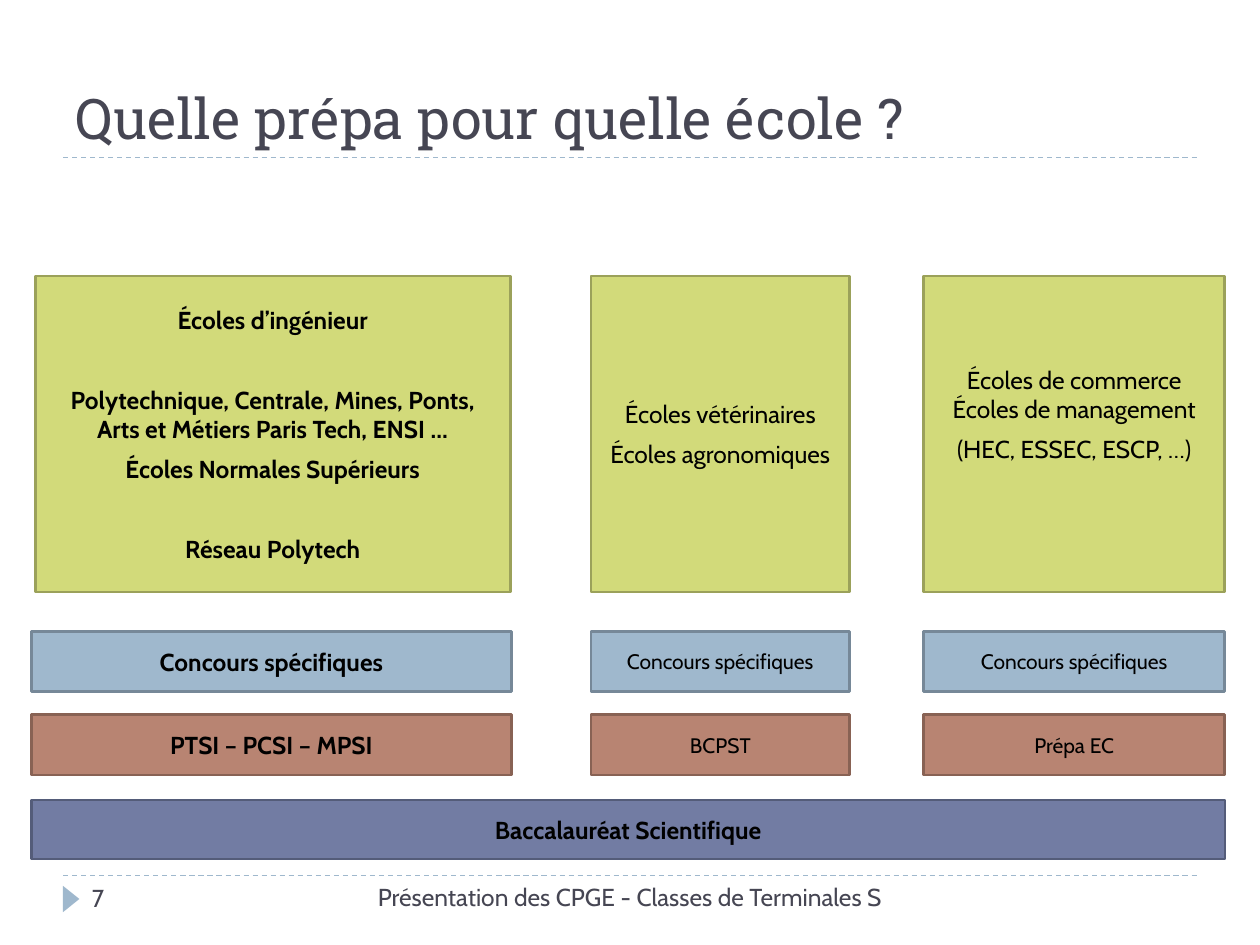
import pptx
import pptx.util
import pptx.dml.color
import pptx.enum.dml
import pptx.enum.shapes
import pptx.enum.text
import lxml.etree

Pt = pptx.util.Pt
SHAPE = pptx.enum.shapes.MSO_SHAPE
ALIGN = pptx.enum.text.PP_ALIGN
ANCHOR = pptx.enum.text.MSO_ANCHOR
INK, SKY = "464653", "9FB8CD"


def paint(target, color):
    """Give a font or line its colour, or a fill its solid colour."""
    if hasattr(target, "solid"):
        target.solid()
        target = target.fore_color
    else:
        target = target.color
    target.rgb = pptx.dml.color.RGBColor.from_string(color)


def write(frame, lines, size, color, align, bold=False):
    """Fill a frame from (text, space before) pairs."""
    frame.word_wrap = True
    for i, (text, gap) in enumerate(lines):
        para = frame.add_paragraph() if i else frame.paragraphs[0]
        para.text = text
        para.alignment = align
        para.space_before = Pt(gap)
        para.font.name = "Cabin"
        para.font.size = Pt(size)
        para.font.bold = bold
        paint(para.font, color)


deck = pptx.Presentation()
deck.slide_width, deck.slide_height = Pt(720), Pt(540)
slide = deck.slides.add_slide(deck.slide_layouts[5])
shapes = slide.shapes

# Title
title = shapes.title
title.left, title.top, title.width, title.height = Pt(36), Pt(12), Pt(648), Pt(78)
frame = title.text_frame
frame.text = "Quelle prépa pour quelle école ?"
frame.auto_size = pptx.enum.text.MSO_AUTO_SIZE.NONE
frame.vertical_anchor = ANCHOR.BOTTOM
head = frame.paragraphs[0]
head.alignment = ALIGN.LEFT
head.font.name = "Roboto Slab"
head.font.size = Pt(32)
paint(head.font, INK)

# Dashed rules
for y in (90, 500.4):
    rule = shapes.add_connector(
        pptx.enum.shapes.MSO_CONNECTOR.STRAIGHT, Pt(36), Pt(y), Pt(684), Pt(y))
    paint(rule.line, SKY)
    rule.line.width = Pt(0.75)
    rule.line.dash_style = pptx.enum.dml.MSO_LINE.DASH
    lxml.etree.SubElement(rule.element.spPr, pptx.oxml.ns.qn("a:effectLst"))

# Footer
mark = shapes.add_shape(SHAPE.ISOSCELES_TRIANGLE, Pt(33.1), Pt(509), Pt(15.1), Pt(9.4))
mark.rotation = 90
mark.shadow.inherit = False
mark.line.fill.background()
paint(mark.fill, SKY)

for x, y, width, text, align in (
    (190, 500.4, 340, "Présentation des CPGE - Classes de Terminales S", ALIGN.CENTER),
    (45.4, 501.1, 156, "7", ALIGN.LEFT),
):
    box = shapes.add_textbox(Pt(x), Pt(y), Pt(width), Pt(28.8))
    write(box.text_frame, [(text, 0)], 14, INK, align)

# Boxes: one column per branch, one row per stage
GREEN, BLUE, BROWN, VIOLET = (
    ("D2DA7A", "9BA15A"), (SKY, "768898"), ("B88472", "886254"), ("727CA3", "545C79"))
SCHOOL, EXAM, PREP, BAC = (157.7, 180.7), (360.7, 34.6), (408.2, 34.6), (457.2, 33.8)
LEFT, MID, RIGHT = (18, 274.3), (337.7, 147.9), (527.8, 172.1)
NEAR, FAR = 6, 29
exam = [("Concours spécifiques", 0)]

boxes = [
    ((20.2, 271.4), SCHOOL, GREEN, 14, True, [
        ("Écoles d’ingénieur", 0),
        ("Polytechnique, Centrale, Mines, Ponts, Arts et Métiers Paris Tech, ENSI …", FAR),
        ("Écoles Normales Supérieurs", NEAR),
        ("Réseau Polytech", FAR)]),
    (MID, SCHOOL, GREEN, 14, False, [
        ("Écoles vétérinaires", 0), ("Écoles agronomiques", NEAR)]),
    (RIGHT, SCHOOL, GREEN, 14, False, [
        ("Écoles de commerce Écoles de management", 0),
        ("(HEC, ESSEC, ESCP, …)", NEAR)]),
    (LEFT, EXAM, BLUE, 14, True, exam),
    (MID, EXAM, BLUE, 12, False, exam),
    (RIGHT, EXAM, BLUE, 12, False, exam),
    (LEFT, PREP, BROWN, 14, True, [("PTSI – PCSI – MPSI", 0)]),
    (MID, PREP, BROWN, 12, False, [("BCPST", 0)]),
    (RIGHT, PREP, BROWN, 12, False, [("Prépa EC", 0)]),
    ((18, 682), BAC, VIOLET, 14, True, [("Baccalauréat Scientifique", 0)]),
]
for col, row, (fill, edge), size, bold, lines in boxes:
    box = shapes.add_shape(SHAPE.RECTANGLE, Pt(col[0]), Pt(row[0]), Pt(col[1]), Pt(row[1]))
    box.shadow.inherit = False
    paint(box.fill, fill)
    paint(box.line, edge)
    box.line.width = Pt(1.5)
    box.text_frame.vertical_anchor = ANCHOR.MIDDLE
    if col == RIGHT and row == SCHOOL:
        box.text_frame.margin_bottom = Pt(26.6)  # lifts the text above the middle
    write(box.text_frame, lines, size, "000000", ALIGN.CENTER, bold)

deck.save("out.pptx")
